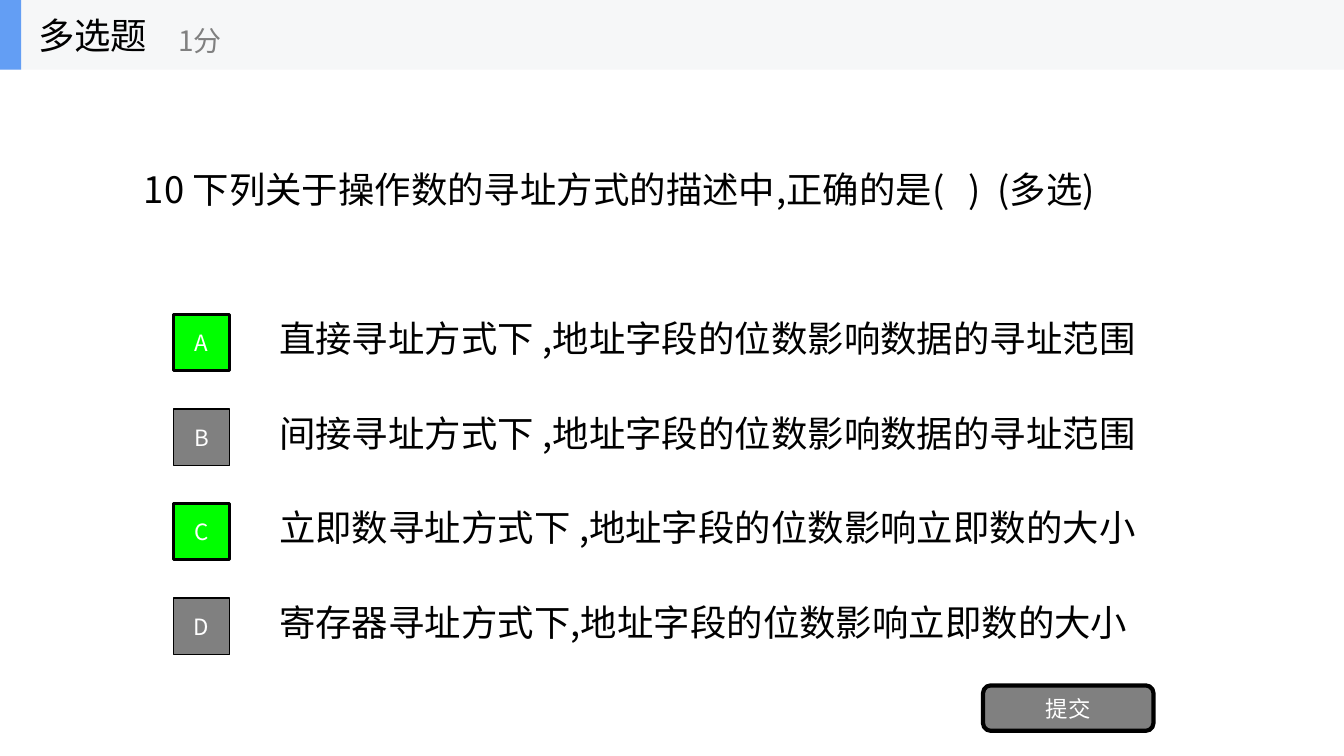
from lxml.etree import SubElement
from pptx import Presentation
from pptx.dml.color import RGBColor
from pptx.enum.shapes import MSO_SHAPE as Shape
from pptx.enum.text import MSO_ANCHOR as Anchor, MSO_AUTO_SIZE as AutoSize, PP_ALIGN as Align
from pptx.oxml.ns import qn
from pptx.util import Inches, Pt

FONT = "Noto Sans CJK SC"
BLACK, WHITE, GRAY, GREEN = "000000", "FFFFFF", "808080", "00FF00"
OPTIONS = [
    ("A", "直接寻址方式下 ,地址字段的位数影响数据的寻址范围", True),
    ("B", "间接寻址方式下 ,地址字段的位数影响数据的寻址范围", False),
    ("C", "立即数寻址方式下 ,地址字段的位数影响立即数的大小", True),
    ("D", "寄存器寻址方式下,地址字段的位数影响立即数的大小", False),
]


def color(value):
    return RGBColor.from_string(value)


def write(shape, text, size, text_color, align=Align.LEFT, spacing=None):
    frame = shape.text_frame
    frame.vertical_anchor = Anchor.MIDDLE
    frame.word_wrap = True
    paragraph = frame.paragraphs[0]
    for name, value in {"alignment": align, "line_spacing": spacing}.items():
        setattr(paragraph, name, value)
    run = paragraph.add_run()
    run.text = text
    for name, value in {"name": FONT, "size": Pt(size)}.items():
        setattr(run.font, name, value)
    run.font.color.rgb = color(text_color)
    SubElement(run.font._element, qn("a:ea"), typeface=FONT)


def add_text(slide, box, text, size, text_color=BLACK, spacing=None, grow=False):
    shape = slide.shapes.add_textbox(*map(Inches, box))
    write(shape, text, size, text_color, spacing=spacing)
    shape.text_frame.auto_size = AutoSize.SHAPE_TO_FIT_TEXT if grow else AutoSize.NONE


def add_block(slide, kind, box, fill, line_width=0):
    shape = slide.shapes.add_shape(kind, *map(Inches, box))
    shape.shadow.inherit = False
    shape.fill.solid()
    shape.fill.fore_color.rgb = color(fill)
    if line_width:
        shape.line.color.rgb = color(BLACK)
        shape.line.width = Pt(line_width)
    else:
        shape.line.fill.background()
    return shape


def add_header(slide, left, top, width, height):
    add_block(slide, Shape.RECTANGLE, (left, top, width, height), "F6F7F8")
    add_block(slide, Shape.RECTANGLE, (left, top, 0.21, height), "639EF4")
    add_text(slide, (left + 0.28, top, 2.08, height), "多选题", 26)
    add_text(slide, (left + 1.67, top + 0.12, 2.5, 0.56), "1分", 20, GRAY)


def add_options(slide, left, top, width, height):
    pitch = height / len(OPTIONS)
    side = 0.56
    for index, (letter, text, correct) in enumerate(OPTIONS):
        row_top = top + index * pitch
        add_text(slide, (left + 0.95, row_top + 0.01, width - 0.95, 0.53),
                 text, 26, spacing=0.82, grow=True)
        fill, line_width = (GREEN, 2) if correct else (GRAY, 1)
        button = add_block(slide, Shape.RECTANGLE, (left, row_top, side, side), fill, line_width)
        write(button, letter, 16, WHITE, Align.CENTER)


def add_submit(slide, left, top, width, height):
    button = add_block(slide, Shape.ROUNDED_RECTANGLE, (left, top, width, height), GRAY, 3)
    write(button, "提交", 16, WHITE, Align.CENTER)


def main():
    presentation = Presentation()
    presentation.slide_width = Inches(13.33)
    presentation.slide_height = Inches(7.5)
    slide = presentation.slides.add_slide(presentation.slide_layouts[6])
    add_text(slide, (1.33, 1.6, 10.5, 0.54),
             "10 下列关于操作数的寻址方式的描述中,正确的是(   )  (多选)", 26, grow=True)
    add_options(slide, 1.72, 3.12, 9.76, 3.75)
    add_submit(slide, 9.75, 6.8, 1.69, 0.45)
    add_header(slide, 0, 0, 13.33, 0.69)
    presentation.save("out.pptx")


if __name__ == "__main__":
    main()
